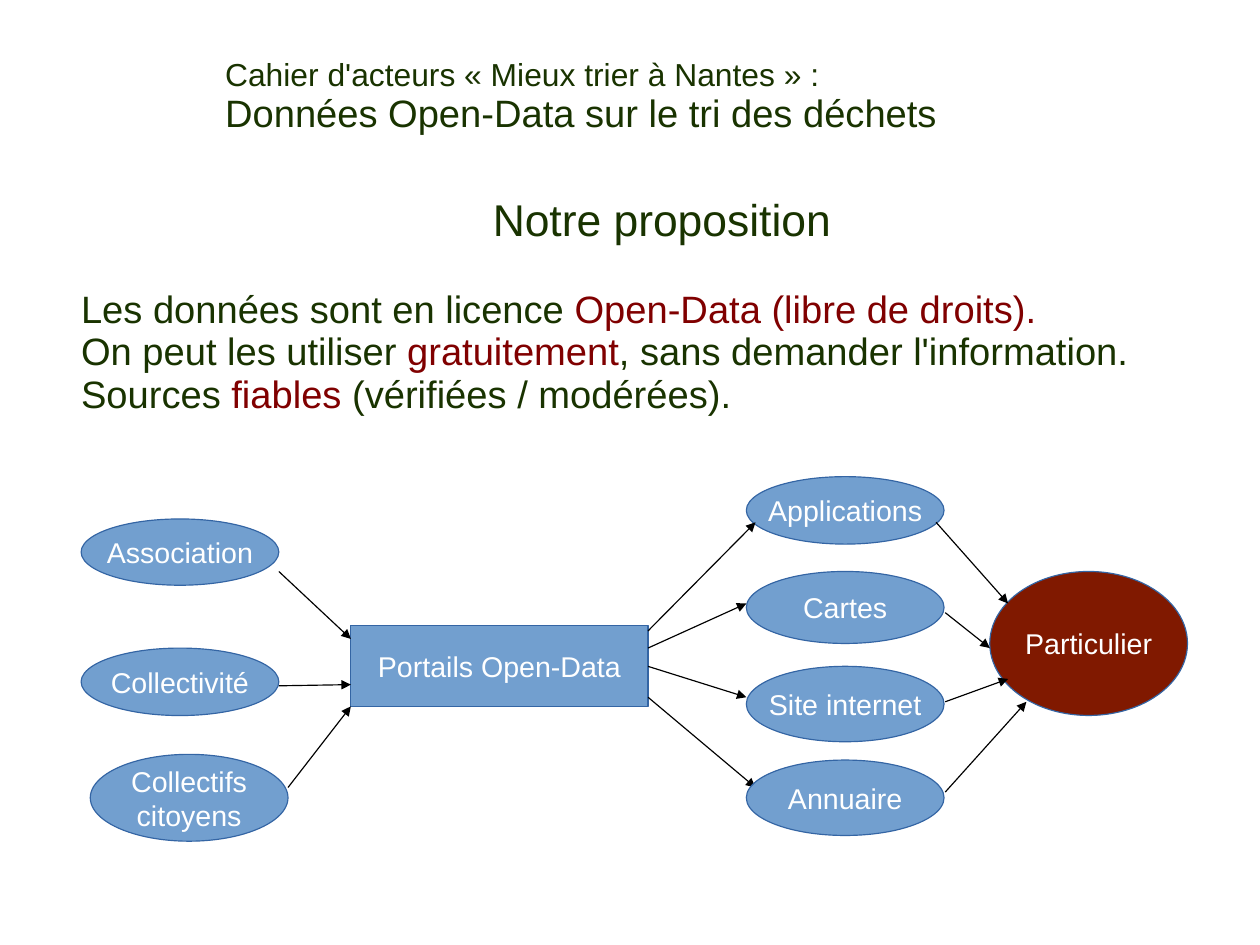
from lxml.etree import SubElement
from pptx import Presentation
from pptx.dml.color import RGBColor
from pptx.enum.shapes import MSO_CONNECTOR as Link, MSO_SHAPE as Shape
from pptx.enum.text import MSO_ANCHOR as Anchor, PP_ALIGN as Align
from pptx.oxml.ns import qn
from pptx.util import Cm, Inches, Pt

GREEN = RGBColor(0x19, 0x33, 0x00)
RED = RGBColor(0x80, 0x00, 0x00)
BLUE = RGBColor(0x72, 0x9F, 0xCF)
EDGE = RGBColor(0x34, 0x65, 0xA4)
BRICK = RGBColor(0x80, 0x19, 0x00)
WHITE = RGBColor(0xFF, 0xFF, 0xFF)
BLACK = RGBColor(0x00, 0x00, 0x00)
FONT = "Arial"
OVAL_W = 1.73

# Each paragraph: size, alignment, space after, runs
TITLE = [
    (20, Align.LEFT, 0, [("Cahier d'acteurs « Mieux trier à Nantes » :", GREEN)]),
    (24, Align.LEFT, 0, [("Données Open-Data sur le tri des déchets", GREEN)]),
]
BODY = [
    (28, Align.CENTER, 27, [("Notre proposition", GREEN)]),
    (24, Align.LEFT, 0, [("Les données sont en licence ", GREEN),
                         ("Open-Data (libre de droits).", RED)]),
    (24, Align.LEFT, 0, [("On peut les utiliser ", GREEN), ("gratuitement", RED),
                         (", sans demander l'information.", GREEN)]),
    (24, Align.LEFT, 0, [("Sources ", GREEN), ("fiables", RED),
                         (" (vérifiées / modérées).", GREEN)]),
]
# Ovals: text, left, top, height, fill
OVALS = [
    ("Association", 0.71, 4.54, 0.58, BLUE),
    ("Collectivité", 0.71, 5.67, 0.59, BLUE),
    ("Collectifs\ncitoyens", 0.79, 6.6, 0.76, BLUE),
    ("Applications", 6.53, 4.17, 0.59, BLUE),
    ("Cartes", 6.53, 5, 0.63, BLUE),
    ("Site internet", 6.53, 5.83, 0.66, BLUE),
    ("Particulier", 8.66, 5, 1.26, BRICK),
]
LAST_OVAL = ("Annuaire", 6.53, 6.65, 0.66, BLUE)  # covers an arrow tip
PORTAL = ("Portails Open-Data", 3.07, 5.47, 2.6, 0.71)
# Arrows: from x, from y, to x, to y
ARROWS = [
    (2.44, 5, 3.07, 5.59),
    (2.44, 6, 3.07, 5.99),
    (2.52, 6.89, 3.07, 6.18),
    (5.67, 5.52, 6.61, 4.57),
    (5.67, 5.67, 6.53, 5.28),
    (5.67, 5.83, 6.53, 6.1),
    (5.67, 6.1, 6.61, 6.89),
    (8.19, 4.57, 8.82, 5.28),
    (8.27, 5.36, 8.66, 5.67),
    (8.27, 6.14, 8.82, 5.94),
    (8.27, 6.93, 8.98, 6.14),
]


def style(run, size, color):
    run.font.name = FONT
    run.font.size = Pt(size)
    run.font.color.rgb = color


def add_text(slide, box, paras, anchor, top=0):
    frame = slide.shapes.add_textbox(*map(Inches, box)).text_frame
    frame.word_wrap = True
    frame.vertical_anchor = anchor
    frame.margin_left = frame.margin_right = frame.margin_bottom = 0
    frame.margin_top = Inches(top)
    for i, (size, align, after, runs) in enumerate(paras):
        para = frame.add_paragraph() if i else frame.paragraphs[0]
        para.alignment = align
        para.line_spacing = 0.93
        para.space_after = Pt(after)
        for text, color in runs:
            run = para.add_run()
            run.text = text
            style(run, size, color)


def add_node(slide, kind, text, left, top, width, height, fill):
    node = slide.shapes.add_shape(kind, *map(Inches, (left, top, width, height)))
    node.shadow.inherit = False
    node.fill.solid()
    node.fill.fore_color.rgb = fill
    node.line.color.rgb = EDGE
    node.line.width = Pt(0.75)
    frame = node.text_frame
    frame.word_wrap = False
    frame.vertical_anchor = Anchor.MIDDLE
    frame.text = text
    for para in frame.paragraphs:
        para.alignment = Align.CENTER
        style(para.runs[0], 18, WHITE)


def add_oval(slide, text, left, top, height, fill):
    add_node(slide, Shape.OVAL, text, left, top, OVAL_W, height, fill)


def add_arrow(slide, ends):
    arrow = slide.shapes.add_connector(Link.STRAIGHT, *map(Inches, ends))
    arrow.line.color.rgb = BLACK
    arrow.line.width = Pt(0.75)
    props = arrow.element.spPr
    SubElement(props.find(qn("a:ln")), qn("a:tailEnd"), type="triangle")
    SubElement(props, qn("a:effectLst"))


def main():
    deck = Presentation()
    deck.slide_width, deck.slide_height = Cm(28), Cm(21)
    slide = deck.slides.add_slide(deck.slide_layouts[6])
    add_text(slide, (1.97, 0.27, 8.5, 1.16), TITLE, Anchor.MIDDLE)
    add_text(slide, (0.71, 1.69, 10.16, 5.34), BODY, Anchor.TOP, 0.03)
    for oval in OVALS:
        add_oval(slide, *oval)
    add_node(slide, Shape.RECTANGLE, *PORTAL, BLUE)
    for ends in ARROWS:
        add_arrow(slide, ends)
    add_oval(slide, *LAST_OVAL)
    deck.save("out.pptx")


if __name__ == "__main__":
    main()
